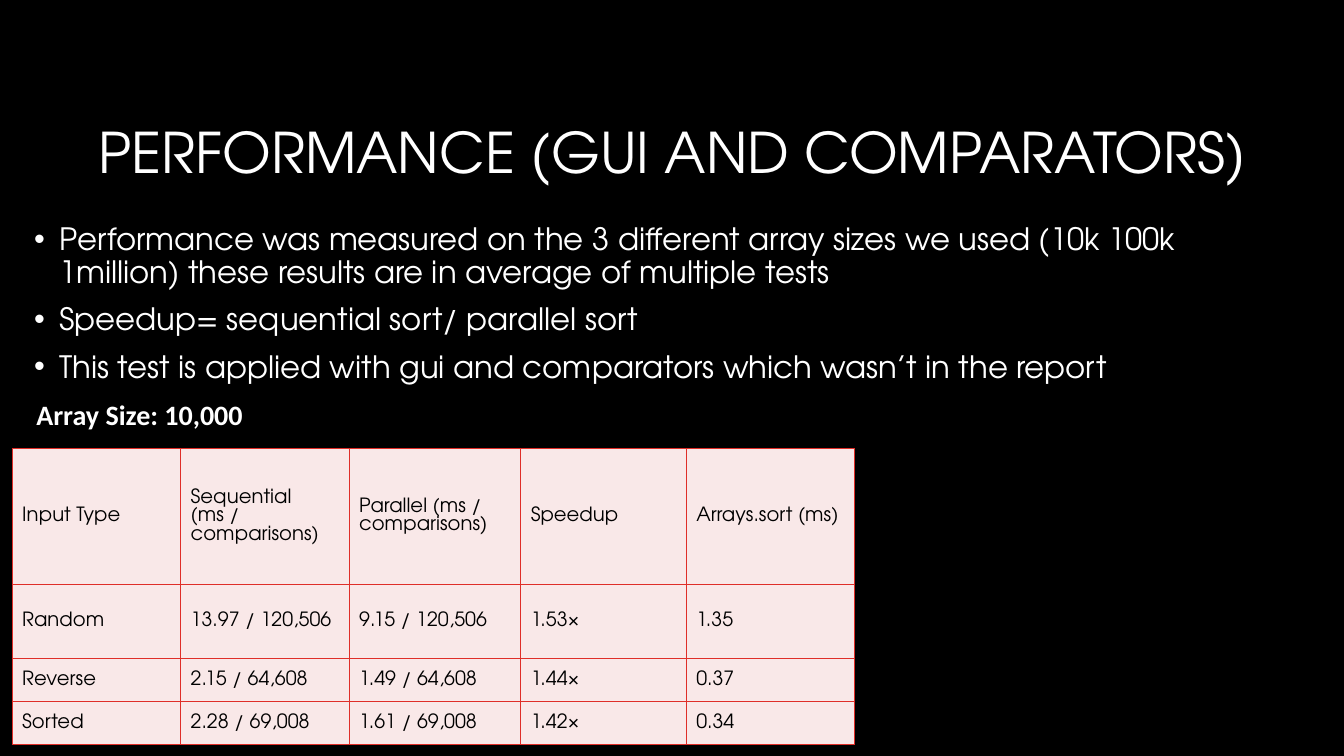
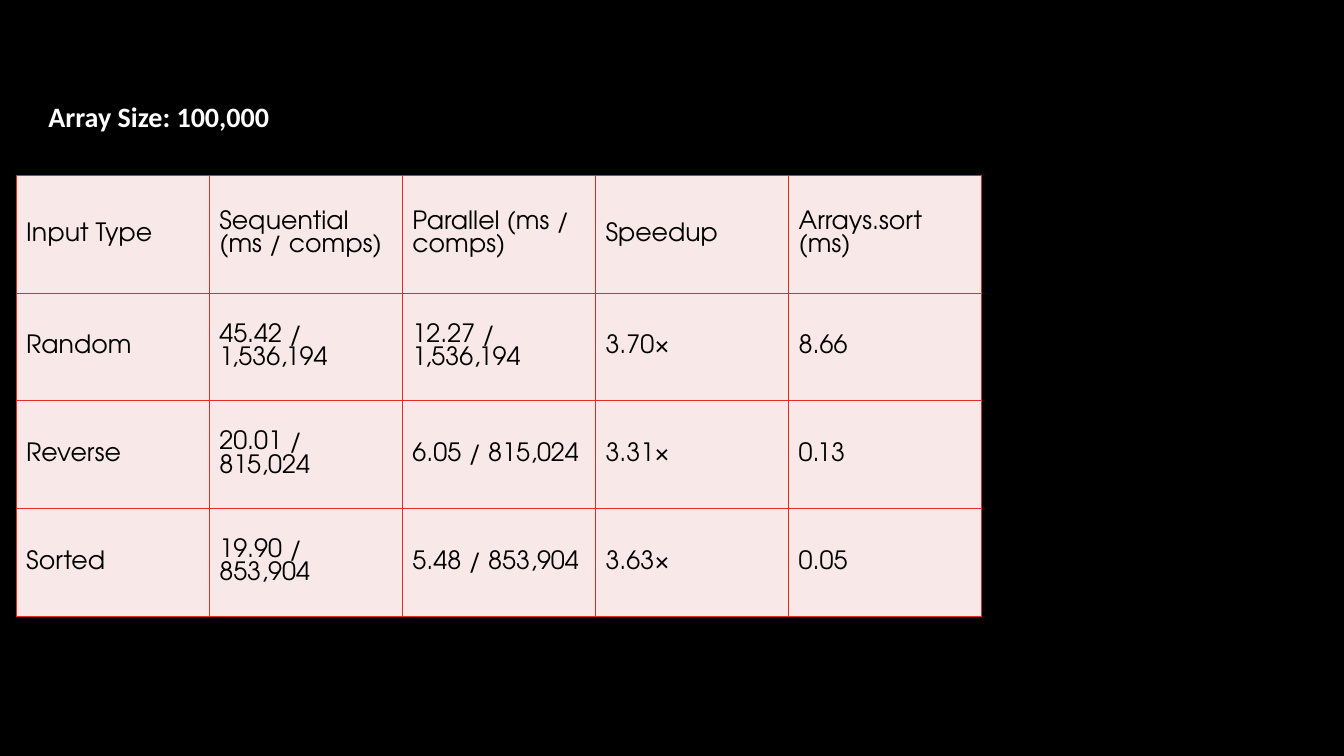
from dataclasses import dataclass

from lxml import etree
from pptx import Presentation
from pptx import util as u
from pptx.dml.color import RGBColor
from pptx.enum import text
from pptx.oxml import ns


@dataclass(frozen=True)
class Theme:
    """Hold the colours, fonts and type sizes of the deck."""
    back: str = "000000"
    light: str = "FFFFFF"
    dark: str = "000000"
    cell: str = "F9E8E8"
    rule: str = "DF2E28"
    font: str = "TeX Gyre Adventor"
    label: str = "Calibri"
    head: int = 40
    body: int = 22
    sub: int = 20
    small: int = 14
    large: int = 18


T = Theme()
WIDE, HIGH = u.Inches(13.33), u.Inches(7.5)


def area(left, top, wide, high):
    """Turn percentages of the slide into a box."""
    return [int(v * side / 100) for v, side in
            zip((left, top, wide, high), (WIDE, HIGH, WIDE, HIGH))]


def split(total, parts):
    """Share a length out by weight."""
    return [int(total * part / sum(parts)) for part in parts]


def bullet(para):
    """Give a paragraph a hanging bullet."""
    props = para._p.get_or_add_pPr()
    props.set("marL", str(u.Inches(0.25)))
    props.set("indent", str(-u.Inches(0.25)))
    font = etree.SubElement(props, ns.qn("a:buFont"))
    font.set("typeface", "Arial")
    etree.SubElement(props, ns.qn("a:buChar")).set("char", "•")


def write(frame, *lines, size=T.body, color=T.light, font=T.font, bold=False,
          align=text.PP_ALIGN.LEFT, space=None, gap=0, dots=False):
    """Fill a text frame with formatted paragraphs."""
    frame.word_wrap = True
    for n, line in enumerate(lines):
        para = frame.add_paragraph() if n else frame.paragraphs[0]
        para.text = line
        para.alignment = align
        para.space_before = u.Pt(gap if n else 0)
        if space:
            para.line_spacing = space
        if dots:
            bullet(para)
        face = para.runs[0].font
        face.size, face.name, face.bold = u.Pt(size), font, bold
        face.color.rgb = RGBColor.from_string(color)


def title(slide, box, words):
    """Place and format the slide title."""
    shape = slide.shapes.title
    shape.left, shape.top, shape.width, shape.height = box
    shape.text_frame.auto_size = text.MSO_AUTO_SIZE.NONE
    shape.text_frame.vertical_anchor = text.MSO_ANCHOR.MIDDLE
    write(shape.text_frame, words, size=T.head, space=0.9,
          align=text.PP_ALIGN.CENTER)


def points(slide, box, lines):
    """Place a bulleted list."""
    frame = slide.shapes.add_textbox(*box).text_frame
    write(frame, *lines, space=0.9, gap=10, dots=True)


def label(slide, box, words):
    """Place the bold heading above a table."""
    frame = slide.shapes.add_textbox(*box).text_frame
    frame.margin_left = frame.margin_right = 0
    frame.vertical_anchor = text.MSO_ANCHOR.MIDDLE
    write(frame, words, size=T.sub, font=T.label, bold=True)


def border(cell):
    """Rule all four sides of a cell."""
    props = cell._tc.get_or_add_tcPr()
    for n, side in enumerate(("lnL", "lnR", "lnT", "lnB")):
        line = etree.Element(ns.qn("a:" + side), w=str(u.Pt(1)))
        fill = etree.SubElement(line, ns.qn("a:solidFill"))
        etree.SubElement(fill, ns.qn("a:srgbClr")).set("val", T.rule)
        props.insert(n, line)


def grid(slide, box, rows, wides, highs, size):
    """Place a ruled table with weighted columns and rows."""
    table = slide.shapes.add_table(len(rows), len(wides), *box).table
    table.first_row = table.horz_banding = False
    for col, wide in zip(table.columns, split(box[2], wides)):
        col.width = wide
    for row, high in zip(table.rows, split(box[3], highs)):
        row.height = high
    for row, words in zip(table.rows, rows):
        for cell, word in zip(row.cells, words):
            cell.fill.solid()
            cell.fill.fore_color.rgb = RGBColor.from_string(T.cell)
            cell.vertical_anchor = text.MSO_ANCHOR.MIDDLE
            border(cell)
            write(cell.text_frame, word, size=size, color=T.dark)


def heads(unit):
    """Name the table columns for a comparison unit."""
    return ("Input Type", f"Sequential (ms / {unit})",
            f"Parallel (ms / {unit})", "Speedup", "Arrays.sort (ms)")


def intro(deck):
    """Build the slide with the notes and the first table."""
    slide = deck.slides.add_slide(deck.slide_layouts[5])
    title(slide, area(5.63, 11.2, 88.75, 18.8),
          "PERFORMANCE (GUI AND COMPARATORS)")
    points(slide, area(1.8, 28.93, 93.6, 23), (
        "Performance was measured on the 3 different array sizes we used "
        "(10k 100k 1million) these results are in average of multiple tests",
        "Speedup= sequential sort/ parallel sort",
        "This test is applied with gui and comparators which wasn’t in the "
        "report"))
    label(slide, area(2.7, 51.87, 22, 5.87), "Array Size: 10,000")
    grid(slide, area(0.9, 59.33, 62.7, 39.2), (
        heads("comparisons"),
        ("Random", "13.97 / 120,506", "9.15 / 120,506", "1.53×", "1.35"),
        ("Reverse", "2.15 / 64,608", "1.49 / 64,608", "1.44×", "0.37"),
        ("Sorted", "2.28 / 69,008", "1.61 / 69,008", "1.42×", "0.34"),
    ), (1.67, 1.67, 1.7, 1.64, 1.67), (1.35, 0.73, 0.43, 0.43), T.small)


def result(deck):
    """Build the slide with the second table alone."""
    slide = deck.slides.add_slide(deck.slide_layouts[6])
    label(slide, area(3.6, 12.4, 22, 5.87), "Array Size: 100,000")
    grid(slide, area(1.2, 23.2, 71.85, 58.3), (
        heads("comps"),
        ("Random", "45.42 / 1,536,194", "12.27 / 1,536,194", "3.70×", "8.66"),
        ("Reverse", "20.01 / 815,024", "6.05 / 815,024", "3.31×", "0.13"),
        ("Sorted", "19.90 / 853,904", "5.48 / 853,904", "3.63×", "0.05"),
    ), [1] * 5, (1.17, 1.07, 1.07, 1.07), T.large)


def main():
    """Build and save the deck."""
    deck = Presentation()
    deck.slide_width, deck.slide_height = WIDE, HIGH
    fill = deck.slide_master.background.fill
    fill.solid()
    fill.fore_color.rgb = RGBColor.from_string(T.back)
    intro(deck)
    result(deck)
    deck.save("out.pptx")


if __name__ == "__main__":
    main()
